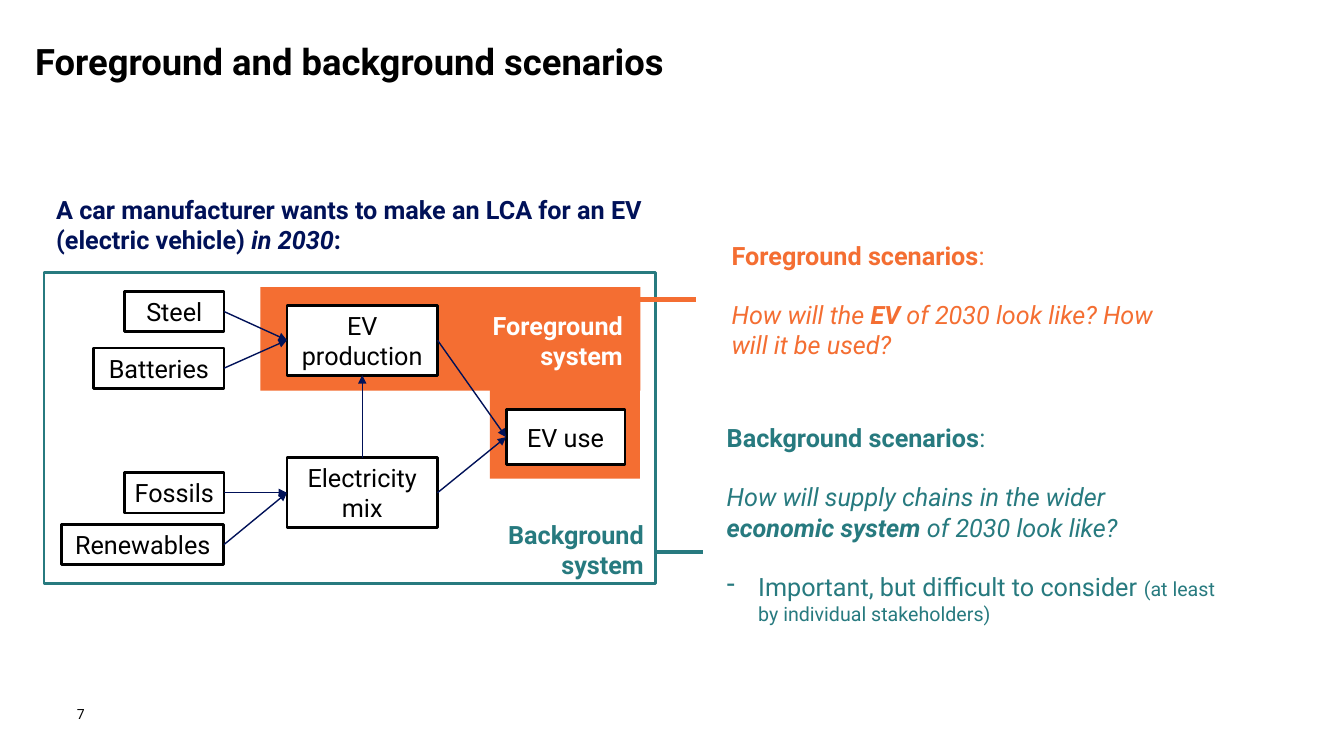
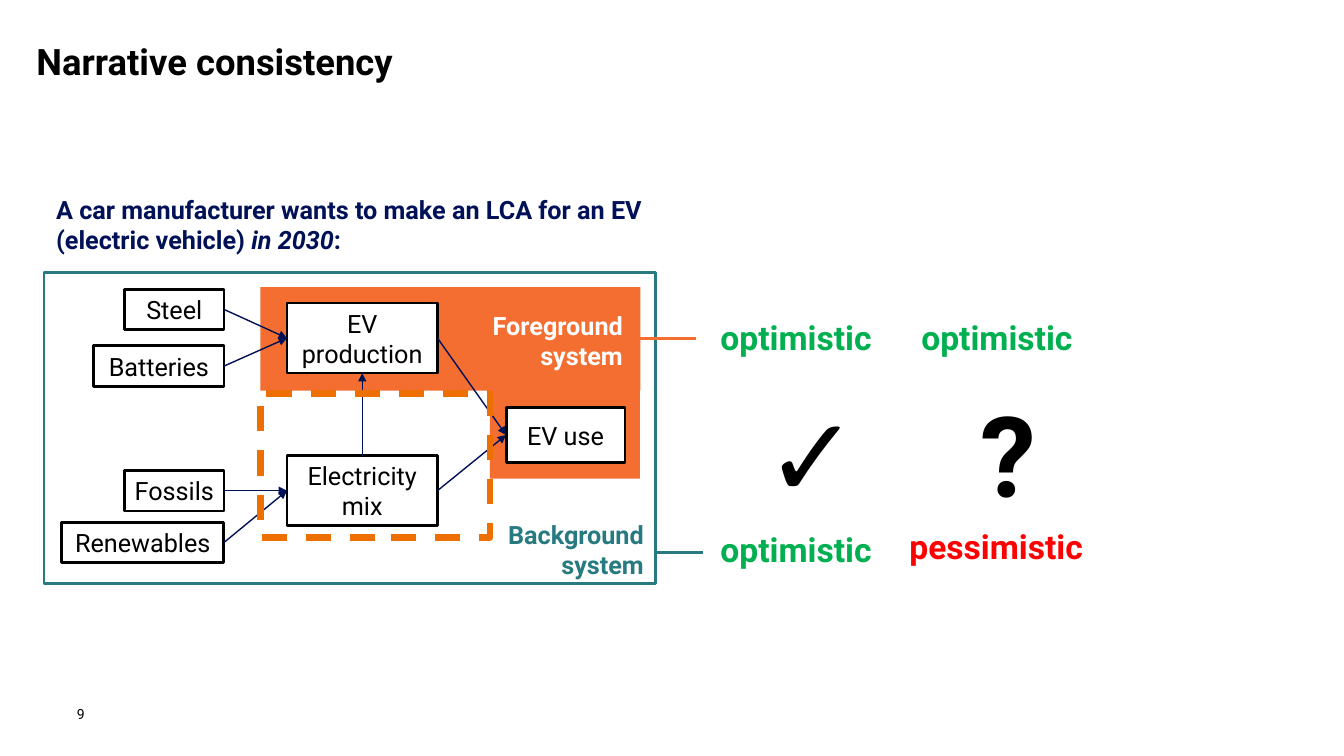
from lxml import etree
from pptx import Presentation
from pptx.dml.color import RGBColor
from pptx.enum import dml, shapes, text
from pptx.oxml.ns import qn
from pptx.util import Pt

COLORS = {
    "black": "000000", "white": "FFFFFF", "navy": "001158",
    "orange": "F46E32", "teal": "277A7F", "amber": "ED6F00",
    "green": "00B050", "red": "FF0000",
}
RGB = {name: RGBColor.from_string(value) for name, value in COLORS.items()}
FONT = "Roboto"
LEFT, CENTER, RIGHT = text.PP_ALIGN.LEFT, text.PP_ALIGN.CENTER, text.PP_ALIGN.RIGHT
TOP, MIDDLE = text.MSO_ANCHOR.TOP, text.MSO_ANCHOR.MIDDLE

FEEDER_RIGHT = 160
BOXES = {
    "Steel": (FEEDER_RIGHT - 71, 208, 71, 29),
    "Batteries": (FEEDER_RIGHT - 93, 248.5, 93, 29),
    "Fossils": (FEEDER_RIGHT - 71, 337.5, 71, 29),
    "Renewables": (FEEDER_RIGHT - 116, 374.5, 116, 29),
    "EV production": (205, 218, 107.5, 50),
    "Electricity mix": (205, 327, 107.5, 50),
    "EV use": (361.5, 292.5, 85, 39.5),
}
# Connection sites of a rectangle
SITE_TOP, SITE_LEFT, SITE_BOTTOM, SITE_RIGHT = range(4)
FLOWS = [
    ("Steel", SITE_RIGHT, "EV production", SITE_LEFT),
    ("Batteries", SITE_RIGHT, "EV production", SITE_LEFT),
    ("Fossils", SITE_RIGHT, "Electricity mix", SITE_LEFT),
    ("Renewables", SITE_RIGHT, "Electricity mix", SITE_LEFT),
    ("Electricity mix", SITE_TOP, "EV production", SITE_BOTTOM),
    ("EV production", SITE_RIGHT, "EV use", SITE_LEFT),
    ("Electricity mix", SITE_RIGHT, "EV use", SITE_LEFT),
]
# Title, its left edge, page number, shift of the boxes,
# start and height of the foreground lead, width of both leads
SLIDES = [
    ("Foreground and background scenarios", 25, "7", 0, 446.5, 214, 3),
    ("Narrative consistency", 26, "9", -1.5, 456.5, 242, 2),
]


def write(tf, paragraphs, size, color, align=LEFT, anchor=TOP, inset=8.6, wrap=True):
    """Fill a text frame; each paragraph is a list of (text, style letters b/i) runs."""
    tf.auto_size = text.MSO_AUTO_SIZE.NONE
    tf.word_wrap = wrap
    tf.vertical_anchor = anchor
    tf.margin_left = tf.margin_right = tf.margin_top = tf.margin_bottom = Pt(inset)
    for i, runs in enumerate(paragraphs):
        p = tf.add_paragraph() if i else tf.paragraphs[0]
        p.alignment = align
        p.space_before = Pt(21 if i else 0)
        p.font.name, p.font.size = FONT, Pt(size)
        p.font.color.rgb = RGB[color]
        for words, style in runs:
            r = p.add_run()
            r.text = words
            r.font.bold, r.font.italic = "b" in style, "i" in style


def add_rect(s, box, fill=None, line=None, width=2):
    sp = s.shapes.add_shape(shapes.MSO_SHAPE.RECTANGLE, *map(Pt, box))
    sp.shadow.inherit = False
    if fill:
        sp.fill.solid()
        sp.fill.fore_color.rgb = RGB[fill]
    else:
        sp.fill.background()
    if line:
        sp.line.color.rgb = RGB[line]
        sp.line.width = Pt(width)
    else:
        sp.line.fill.background()
    return sp


prs = Presentation()
prs.slide_width, prs.slide_height = Pt(960), Pt(540)

for title, title_left, number, shift, lead_left, lead_y, lead_width in SLIDES:
    s = prs.slides.add_slide(prs.slide_layouts[5])
    head = s.shapes.title
    head.left, head.top, head.width, head.height = map(Pt, (title_left, 28, 906, 39))
    write(head.text_frame, [[(title, "b")]], 26, "black", inset=0)
    sp = s.shapes.add_textbox(*map(Pt, (55, 504, 55, 12)))
    write(sp.text_frame, [[(number, "")]], 10, "black", inset=0)

    # System boundaries and their labels
    add_rect(s, (350, 278, 107, 64), fill="orange")
    add_rect(s, (186, 205, 271.5, 74), fill="orange")
    add_rect(s, (31.5, 194.5, 437, 222.5), line="teal")
    question = [("A car manufacturer wants to make an LCA for an EV (electric vehicle) ", "b"),
                ("in 2030", "bi"), (":", "b")]
    for box, runs, color, align in [
        ((322.5, 213, 131, 60), [("Foreground system", "b")], "white", RIGHT),
        ((331, 362, 137.5, 60), [("Background system", "b")], "teal", RIGHT),
        ((31.5, 130, 437, 60), question, "navy", LEFT),
    ]:
        sp = s.shapes.add_textbox(*map(Pt, box))
        write(sp.text_frame, [runs], 18, color, align)

    # Processes
    nodes = {}
    for name, (x, y, w, h) in BOXES.items():
        nodes[name] = add_rect(s, (x, y + shift, w, h), fill="white", line="black")
        write(nodes[name].text_frame, [[(name, "")]], 18, "black", CENTER, MIDDLE, inset=3.6)

    # Leads to the right-hand side, then flows between processes
    lines = []
    for x1, x2, y, color in [(lead_left, 497, lead_y, "orange"), (468.5, 502, 394.5, "teal")]:
        cn = s.shapes.add_connector(shapes.MSO_CONNECTOR.STRAIGHT, Pt(x1), Pt(y), Pt(x2), Pt(y))
        lines.append((cn, color, lead_width))
    for source, out_site, target, in_site in FLOWS:
        cn = s.shapes.add_connector(shapes.MSO_CONNECTOR.STRAIGHT, 0, 0, 0, 0)
        cn.begin_connect(nodes[source], out_site)
        cn.end_connect(nodes[target], in_site)
        lines.append((cn, "navy", 1))
    for cn, color, width in lines:
        cn.line.color.rgb = RGB[color]
        cn.line.width = Pt(width)
        if color == "navy":
            etree.SubElement(cn.line._get_or_add_ln(), qn("a:tailEnd"), type="triangle")
        etree.SubElement(cn._element.spPr, qn("a:effectLst"))

scenario_slide, consistency_slide = prs.slides

# Scenario questions
foreground = [
    [("Foreground scenarios", "b"), (":", "")],
    [("How will the ", "i"), ("EV", "bi"), (" of 2030 look like? How will it be used?", "i")],
]
background = [
    [("Background scenarios", "b"), (":", "")],
    [("How will supply chains in the wider ", "i"), ("economic system ", "bi"),
     ("of 2030 look like?", "i")],
    [("Important, but difficult to consider ", ""), ("(at least by individual stakeholders)", "")],
]
for box, paragraphs, color in [
    ((514, 162, 322.5, 104.5), foreground, "orange"),
    ((510.5, 291.5, 367, 165), background, "teal"),
]:
    sp = scenario_slide.shapes.add_textbox(*map(Pt, box))
    write(sp.text_frame, paragraphs, 18, color, anchor=MIDDLE)
caveat = sp.text_frame.paragraphs[-1]
caveat.runs[-1].font.size = Pt(14)
pPr = caveat._p.get_or_add_pPr()
pPr.set("marL", str(Pt(22.5)))
pPr.set("indent", str(Pt(-22.5)))
bullet = etree.Element(qn("a:buChar"), char="-")
pPr.find(qn("a:defRPr")).addprevious(bullet)

# Foreground and background outlooks, with a verdict between them
for box, words, size, color in [
    ((506, 217.5, 148.5, 46), "optimistic", 24, "green"),
    ((506, 369.5, 148.5, 46), "optimistic", 24, "green"),
    ((649.5, 217.5, 148.5, 46), "optimistic", 24, "green"),
    ((641, 367, 160, 46), "pessimistic", 24, "red"),
    ((538, 266.5, 82, 114), "✓", 80, "black"),
    ((692, 266.5, 55, 114), "?", 80, "black"),
]:
    sp = consistency_slide.shapes.add_textbox(*map(Pt, box))
    write(sp.text_frame, [[(words, "b")]], size, color, wrap=size < 80)
overlap = add_rect(consistency_slide, (186, 281, 164, 103), line="amber", width=4.5)
overlap.line.dash_style = dml.MSO_LINE.DASH

prs.save("out.pptx")
